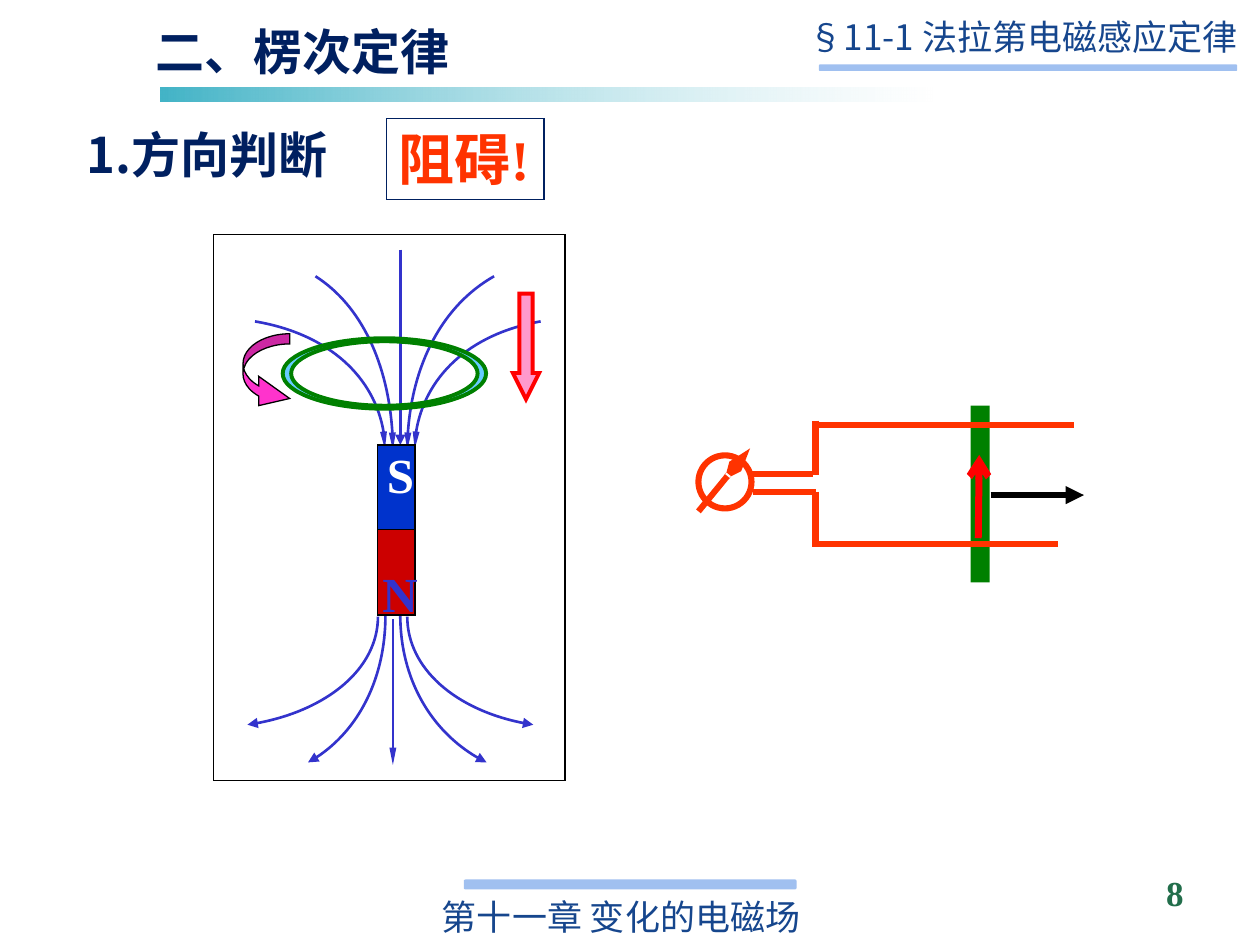
from collections import namedtuple
from dataclasses import dataclass

from lxml.etree import SubElement
from pptx import Presentation
from pptx.dml.color import RGBColor
from pptx.enum.shapes import MSO_CONNECTOR, MSO_SHAPE
from pptx.enum.text import MSO_ANCHOR, PP_ALIGN
from pptx.oxml.ns import qn
from pptx.util import Cm, Pt

Box = namedtuple("Box", "x y w h")


@dataclass(frozen=True)
class Theme:
    serif: str = "Times New Roman"
    sans: str = "Noto Sans CJK SC"
    small: int = 20
    head: int = 28
    big: int = 32
    thin: float = 0.75
    fine: float = 1.5
    mid: float = 2.25
    thick: float = 3.5
    bold: float = 4
    navy: str = "002060"
    steel: str = "16468D"
    sky: str = "A0C0F0"
    teal: str = "43B4C7"
    pine: str = "226E4B"
    field: str = "3333CC"
    south: str = "0033CC"
    north: str = "CC0000"
    green: str = "008000"
    cyan: str = "66CCFF"
    pink: str = "FF99CC"
    rose: str = "FF33CC"
    red: str = "FF0000"
    wire: str = "FF3300"
    black: str = "000000"
    white: str = "FFFFFF"


T = Theme()
EVEN, SLIM = ("med", "med"), ("sm", "lg")


def place(box, x, y, w=0, h=0):
    """Turn an offset inside a box into a box on the slide."""
    return Box(box.x + x, box.y + y, w, h)


# Drawing helpers
def paint(shape, fill=None, line=None, width=T.thin):
    shape.shadow.inherit = False
    if fill:
        shape.fill.solid()
        shape.fill.fore_color.rgb = RGBColor.from_string(fill)
    else:
        shape.fill.background()
    if line:
        shape.line.color.rgb = RGBColor.from_string(line)
        shape.line.width = Pt(width)
        SubElement(shape.line._get_or_add_ln(), qn("a:miter"), lim="800000")
    else:
        shape.line.fill.background()
    return shape


def draw(shapes, kind, box, fill=None, line=None, width=T.thin):
    return paint(shapes.add_shape(kind, *map(Cm, box)), fill, line, width)


def style(shape, text, size, color, font=T.serif, bold=True,
          align=PP_ALIGN.LEFT, anchor=MSO_ANCHOR.TOP, wrap=True):
    frame = shape.text_frame
    frame.text = text
    frame.word_wrap = wrap
    frame.vertical_anchor = anchor
    para = frame.paragraphs[0]
    para.alignment = align
    for run in para.runs:
        run.font.size = Pt(size)
        run.font.bold = bold
        run.font.name = font
        run.font.color.rgb = RGBColor.from_string(color)
        SubElement(run.font._element, qn("a:ea"), typeface=T.sans)


def write(shapes, box, text, size, color, **look):
    style(shapes.add_textbox(*map(Cm, box)), text, size, color, **look)


def tip(shape, end, kind="triangle", size=EVEN):
    SubElement(shape.line._get_or_add_ln(), qn("a:" + end),
               type=kind, w=size[0], len=size[1])


def link(shapes, box, start, stop, color, width, head=None, size=EVEN):
    ends = [Cm(v) for x, y in (start, stop) for v in (box.x + x, box.y + y)]
    line = shapes.add_connector(MSO_CONNECTOR.STRAIGHT, *ends)
    line.line.color.rgb = RGBColor.from_string(color)
    line.line.width = Pt(width)
    if head:
        tip(line, "tailEnd", head, size)
    SubElement(line._element.spPr, qn("a:effectLst"))


def trace(shapes, box, loops, extra=(), close=False):
    """Draw loops of cubic curves; extra points only widen the frame."""
    loops = [[(Cm(box.x + x), Cm(box.y + y)) for x, y in loop] for loop in loops]
    pen = shapes.build_freeform(*loops[0][0])
    pen.add_line_segments([p for loop in loops for p in loop[::3]]
                          + [(Cm(box.x + x), Cm(box.y + y)) for x, y in extra])
    shape = pen.convert_to_shape()
    path = next(shape._element.iter(qn("a:path")))
    for step in list(path):
        path.remove(step)
    for loop in loops:
        parts = [("a:moveTo", loop[:1])]
        parts += [("a:cubicBezTo", loop[i:i + 3]) for i in range(1, len(loop), 3)]
        for tag, points in parts:
            step = SubElement(path, qn(tag))
            for x, y in points:
                SubElement(step, qn("a:pt"), x=str(x - shape.left),
                           y=str(y - shape.top))
        if close:
            SubElement(path, qn("a:close"))
    return shape


def curve(shapes, box, far, near, bend, end, size):
    """Bend a field line from its far end to the magnet pole."""
    (x, y), (u, v) = far, near
    out, drop, pull, span = bend
    points = [far, (x + out * (u - x), y + drop * (v - y)),
              (u, y + pull * (v - y)), near]
    shape = trace(shapes, box, [points], [(u + span * (x - u), v)])
    tip(paint(shape, None, T.field, T.fine), end, size=size)


def oval(x, y, a, b):
    """Four quarter curves around a centre."""
    k = 0.55
    turn = [(-1, 0), (-1, -k), (-k, -1), (0, -1), (k, -1), (1, -k), (1, 0),
            (1, k), (k, 1), (0, 1), (-k, 1), (-1, k), (-1, 0)]
    return [(x + a * p, y + b * q) for p, q in turn]


# Running header and footer
def banner(shapes, box, text, bar, label):
    draw(shapes, MSO_SHAPE.ROUNDED_RECTANGLE, place(box, *bar), T.sky)
    write(shapes, place(box, *label), text, T.small, T.steel,
          font=T.sans, bold=False)


# Titles with the fading rule
def titles(shapes, box):
    write(shapes, place(box, 1.39, 0, 6.53, 1.45), "二、楞次定律", T.head, T.navy,
          wrap=False)
    rule = draw(shapes, MSO_SHAPE.RECTANGLE, place(box, 1.73, 1.46, 15.57, 0.28))
    rule.fill.gradient()
    rule.fill.gradient_angle = 0
    for stop, color in zip(rule.fill.gradient_stops, (T.teal, T.white)):
        stop.color.rgb = RGBColor.from_string(color)
    fade = list(rule._element.spPr.iter(qn("a:srgbClr")))[-1]
    SubElement(fade, qn("a:alpha"), val="46000")
    write(shapes, place(box, 0, 2.08, 6.07, 1.45), "1.方向判断", T.head, T.navy,
          font=T.sans)


# Framed key word
def key(shapes, box):
    style(draw(shapes, MSO_SHAPE.RECTANGLE, box, None, T.navy),
          "阻碍!", T.big, T.wire)


# Magnet, field lines and falling ring
def magnet(shapes, box):
    draw(shapes, MSO_SHAPE.RECTANGLE, box, T.white, T.black)
    wide, steep = (0.58, 0.1, 0.52, 1.25), (0.6, 0.17, 0.565, 1.63)
    above = [((0.84, 1.75), (3.46, 4.32), wide), ((6.6, 1.75), (4.06, 4.32), wide),
             ((2.06, 0.84), (3.62, 4.34), steep), ((5.66, 0.84), (3.91, 4.34), steep)]
    below = [((0.69, 9.88), (3.32, 7.7), wide), ((6.45, 9.88), (3.91, 7.7), wide),
             ((1.91, 10.64), (3.47, 7.67), steep), ((5.51, 10.64), (3.77, 7.67), steep)]
    for end, size, group in (("tailEnd", SLIM, above), ("headEnd", EVEN, below)):
        for far, near, bend in group:
            curve(shapes, box, far, near, bend, end, size)
    for x, top, low, size in ((3.77, 0.3, 4.24, EVEN), (3.62, 7.75, 10.69, SLIM)):
        link(shapes, box, (x, top), (x, low), T.field, T.fine, "triangle", size)

    # Poles
    for y, h, color in ((4.24, 3.43, T.south), (5.95, 1.72, T.north)):
        draw(shapes, MSO_SHAPE.RECTANGLE, place(box, 3.31, y, 0.76, h),
             color, T.black)
    write(shapes, place(box, 3.16, 6.5, 1.22, 1.45), "N", T.head, T.field, wrap=False)
    write(shapes, place(box, 3.25, 4.11, 0.76, 1.45), "S", T.head, T.white)

    # Ring with its motion and current
    fall = draw(shapes, MSO_SHAPE.DOWN_ARROW, place(box, 6.04, 1.19, 0.53, 2.13),
                T.pink, T.red, T.mid)
    fall.adjustments[0], fall.adjustments[1] = 0.5, 1
    loops = [oval(3.45, 2.8, 2.05, 0.71), oval(3.45, 2.8, 1.88, 0.65)[::-1]]
    paint(trace(shapes, box, loops, close=True), T.cyan, T.green, T.mid)
    turn = draw(shapes, MSO_SHAPE.CURVED_RIGHT_ARROW,
                place(box, 0.6, 2, 0.94, 1.6), T.rose, T.black)
    for i, value in enumerate((0.218, 0.629, 0.664)):
        turn.adjustments[i] = value


# Sliding rod on rails with a meter
def circuit(shapes, box):
    link(shapes, box, (5.89, 1.8), (7.77, 1.8), T.black, T.thick, "triangle")
    draw(shapes, MSO_SHAPE.RECTANGLE, place(box, 5.49, 0, 0.38, box.h), T.green)
    wires = [((2.44, 0.38), (7.57, 0.38)), ((2.29, 2.79), (7.24, 2.79)),
             ((2.36, 1.73), (2.36, 2.79)), ((2.36, 0.3), (2.36, 1.4)),
             ((1.09, 1.73), (2.36, 1.73)), ((1.04, 1.37), (2.31, 1.37))]
    for start, stop in wires:
        link(shapes, box, start, stop, T.wire, T.thick)
    draw(shapes, MSO_SHAPE.OVAL, place(box, 0, 1, 1.07, 1.07),
         None, T.wire, T.thick)
    link(shapes, box, (0, 2.13), (1.04, 0.86), T.wire, T.thick, "arrow", SLIM)
    link(shapes, box, (5.64, 2.67), (5.66, 0.99), T.red, T.bold, "arrow")


def main():
    deck = Presentation()
    deck.slide_width, deck.slide_height = Cm(25.4), Cm(19.05)
    shapes = deck.slides.add_slide(deck.slide_layouts[6]).shapes
    banner(shapes, Box(16.05, 0.18, 9.73, 1.25), "§11-1 法拉第电磁感应定律",
           (0.46, 1.12, 8.43, 0.13), (0, 0, 9.73, 1.12))
    banner(shapes, Box(8.66, 17.73, 8.05, 1.32), "第十一章 变化的电磁场",
           (0.69, 0, 6.71, 0.2), (0, 0.2, 8.05, 1.12))
    titles(shapes, Box(1.5, 0.3, 17.3, 3.71))
    write(shapes, Box(18.5, 17.54, 5.61, 0.89), "8", T.small, T.pine,
          align=PP_ALIGN.RIGHT, anchor=MSO_ANCHOR.MIDDLE)
    magnet(shapes, Box(4.3, 4.73, 7.09, 11))
    circuit(shapes, Box(14.08, 8.18, 7.77, 3.56))
    key(shapes, Box(7.79, 2.39, 3.18, 1.63))
    deck.save("out.pptx")


if __name__ == "__main__":
    main()
